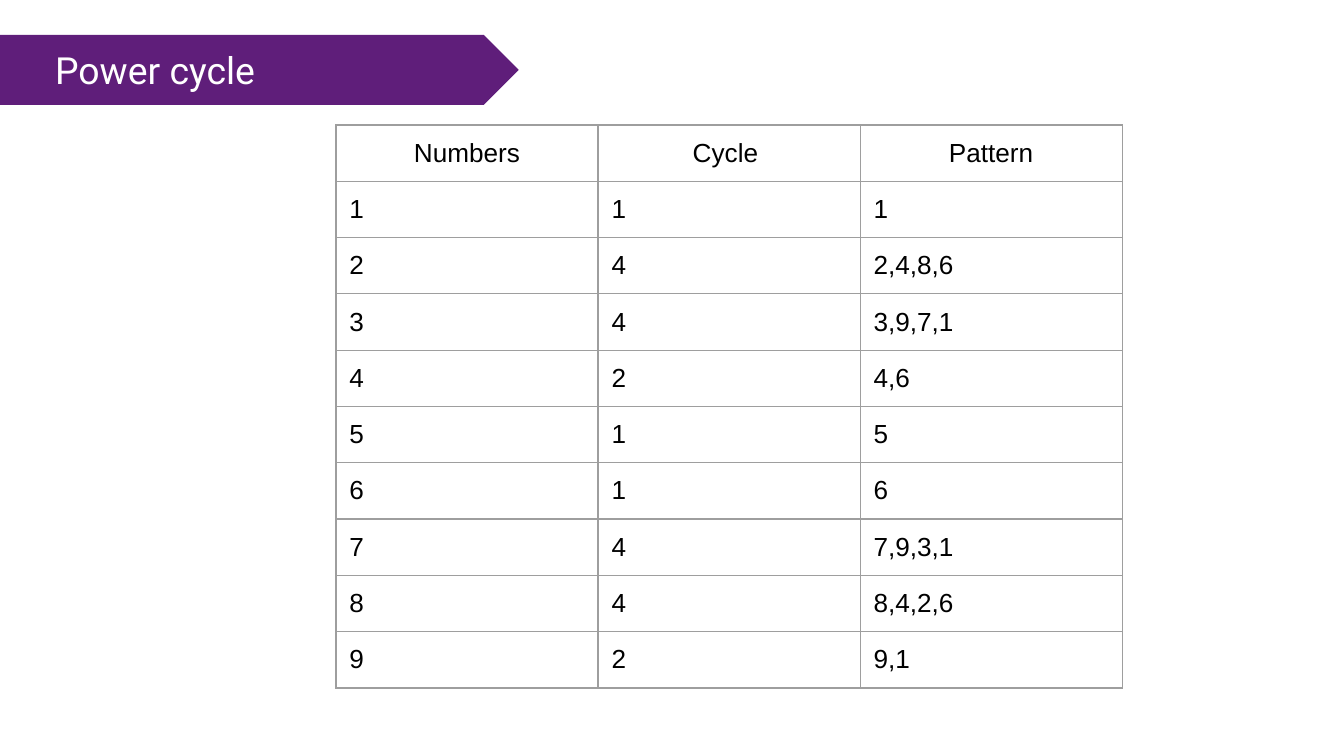
from lxml.etree import SubElement
from pptx import Presentation
from pptx.dml.color import RGBColor
from pptx.enum.shapes import MSO_SHAPE as Shape
from pptx.enum.text import MSO_ANCHOR as Anchor, MSO_AUTO_SIZE as AutoSize, PP_ALIGN as Align
from pptx.oxml.ns import qn
from pptx.util import Inches, Pt

PURPLE = RGBColor(0x5F, 0x1E, 0x7A)
WHITE = RGBColor(0xFF, 0xFF, 0xFF)
BLACK = RGBColor(0x00, 0x00, 0x00)
GRAY = RGBColor(0x9E, 0x9E, 0x9E)

# Widescreen slide, 16:9
SLIDE_W = Inches(10)
SLIDE_H = SLIDE_W * 9 // 16
BANNER_TOP, BANNER_H = Inches(0.26), Inches(0.52)
COL_W, ROW_H = Inches(1.95), Inches(0.4)

HEADERS = ["Numbers", "Cycle ", "Pattern"]
PATTERNS = ["1", "2,4,8,6", "3,9,7,1", "4,6", "5", "6", "7,9,3,1", "8,4,2,6", "9,1"]


def set_text(tf, text, font="Arial", size=14, color=BLACK, align=Align.LEFT):
    p = tf.paragraphs[0]
    p.alignment = align
    r = p.add_run()
    r.text = text
    r.font.name = font
    r.font.size = Pt(size)
    r.font.color.rgb = color


def set_margins(box, left, top, right, bottom):
    box.margin_left, box.margin_top = Inches(left), Inches(top)
    box.margin_right, box.margin_bottom = Inches(right), Inches(bottom)


def add_banner(slide, text):
    # Arrow band, placed behind the title
    sp = slide.shapes.add_shape(Shape.PENTAGON, 0, BANNER_TOP, Inches(3.86), BANNER_H)
    sp.shadow.inherit = False
    sp.fill.solid()
    sp.fill.fore_color.rgb = PURPLE
    sp.line.fill.background()
    slide.shapes.title._element.addprevious(sp._element)

    # Title
    title = slide.shapes.title
    title.left, title.top, title.width, title.height = 0, BANNER_TOP, Inches(4.88), BANNER_H
    tf = title.text_frame
    tf.auto_size = AutoSize.NONE
    tf.vertical_anchor = Anchor.MIDDLE
    set_margins(tf, 0.41, 0, 0, 0)
    set_text(tf, text, font="Roboto", size=20, color=WHITE)


def set_borders(cell, color, width):
    tc_pr = cell._tc.get_or_add_tcPr()
    for i, side in enumerate(("a:lnL", "a:lnR", "a:lnT", "a:lnB")):
        ln = SubElement(tc_pr, qn(side), w=str(Pt(width)))
        fill = SubElement(ln, qn("a:solidFill"))
        SubElement(fill, qn("a:srgbClr"), val=str(color))
        tc_pr.insert(i, ln)


def add_grid(slide, rows):
    n_rows, n_cols = len(rows), len(rows[0])
    frame = slide.shapes.add_table(n_rows, n_cols, SLIDE_W // 4, Inches(0.93),
                                   COL_W * n_cols, ROW_H * n_rows)
    table = frame.table
    table.first_row = table.horz_banding = False
    for col in table.columns:
        col.width = COL_W
    for i, row in enumerate(rows):
        table.rows[i].height = ROW_H
        for j, text in enumerate(row):
            cell = table.cell(i, j)
            cell.fill.background()
            set_margins(cell, 0.1, 0.1, 0.1, 0.1)
            set_borders(cell, GRAY, 0.75)
            set_text(cell.text_frame, text, align=Align.LEFT if i else Align.CENTER)


def main():
    prs = Presentation()
    prs.slide_width, prs.slide_height = SLIDE_W, SLIDE_H
    slide = prs.slides.add_slide(prs.slide_layouts[5])
    add_banner(slide, "Power cycle")

    # The cycle is the number of digits in the pattern
    rows = [[str(n), str(len(pattern.split(","))), pattern]
            for n, pattern in enumerate(PATTERNS, 1)]
    add_grid(slide, [HEADERS] + rows)
    prs.save("out.pptx")


main()
